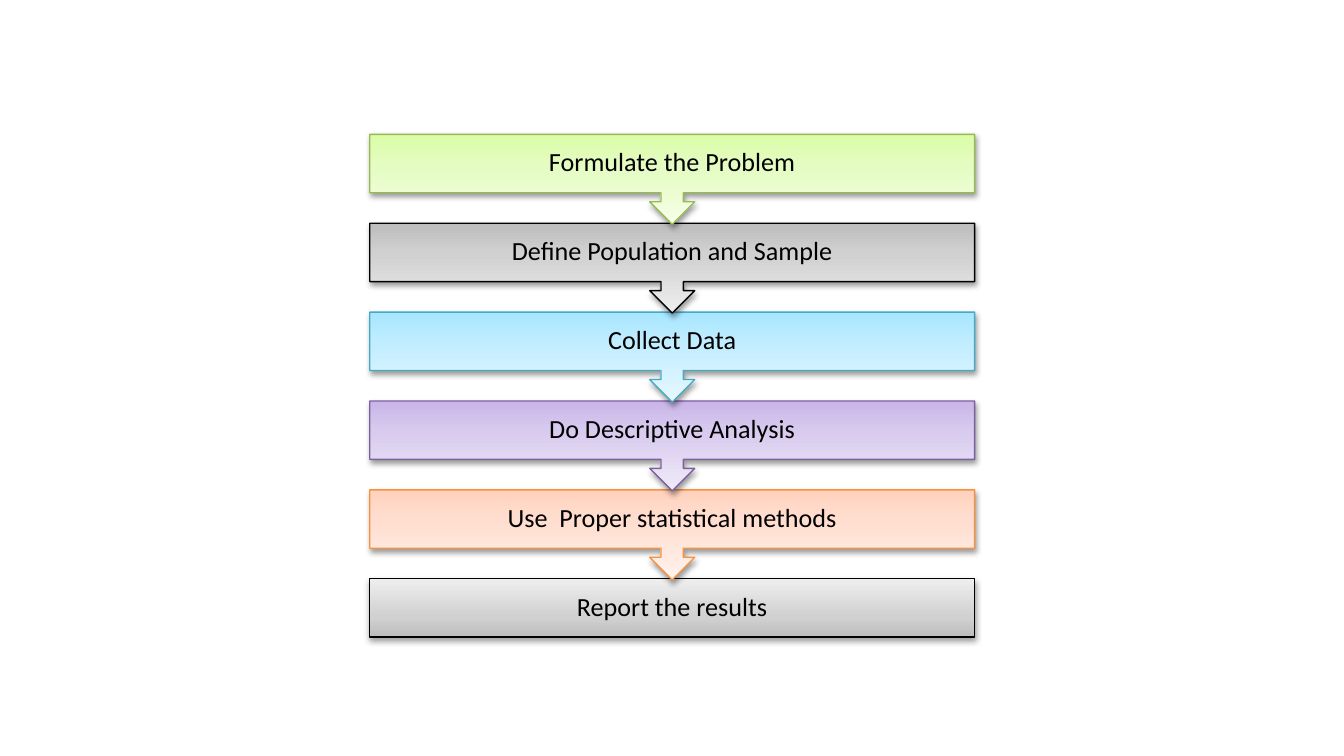
import copy
import pptx
import pptx.util
import pptx.oxml
import pptx.oxml.ns
from pptx.dml.color import RGBColor
from pptx.enum.shapes import MSO_SHAPE
from pptx.enum.text import MSO_ANCHOR, PP_ALIGN

Cm = pptx.util.Cm
Pt = pptx.util.Pt
qn = pptx.oxml.ns.qn

theme = {
    "font": "Calibri", "size": Pt(14), "text": "000000", "line": Pt(0.75),
    "stops": (0, 0.35, 1),
    # line colour, then the gradient from dark to light
    "green": ("98B955", "DAFDA7", "E4FCC2", "F5FFE7"),
    "grey": ("000000", "BDBDBD", "D1D1D1", "EEEEEE"),
    "blue": ("46AAC5", "A7E6FF", "C1EDFF", "E7F8FF"),
    "violet": ("7D60A0", "C9B5E8", "D8CBEE", "F0EAF9"),
    "orange": ("F69240", "FFD2BD", "FFDED0", "FFF2ED"),
}
steps = [
    ("Formulate the Problem", "green"),
    ("Define Population and Sample", "grey"),
    ("Collect Data", "blue"),
    ("Do Descriptive Analysis", "violet"),
    ("Use  Proper statistical methods", "orange"),
    ("Report the results", "grey"),
]
left, top, width, pitch = 6.99, 2.54, 11.43, 1.68
tall, low = 1.7, 1.1
inset = Cm(0.28)
frame = {
    "margin_left": inset, "margin_right": inset,
    "margin_top": inset, "margin_bottom": inset,
    "vertical_anchor": MSO_ANCHOR.MIDDLE, "word_wrap": True,
}
para = {"alignment": PP_ALIGN.CENTER, "line_spacing": 0.9}
font = {"name": theme["font"], "size": theme["size"]}
shade = (
    '<a:outerShdw xmlns:a="http://schemas.openxmlformats.org/drawingml/2006/main"'
    ' blurRad="40000" dist="20000" dir="5400000" rotWithShape="0">'
    '<a:srgbClr val="000000"><a:alpha val="38000"/></a:srgbClr></a:outerShdw>'
)


def put(item, values):
    """Set each named attribute of item."""
    for name, value in values.items():
        setattr(item, name, value)


deck = pptx.Presentation()
put(deck, {"slide_width": Cm(25.4), "slide_height": Cm(14.29)})
slide = deck.slides.add_slide(deck.slide_layouts[6])

# Bottom step first, so that each arrow tip lies over the step below it
for row, (words, tone) in reversed(list(enumerate(steps))):
    last = row == len(steps) - 1
    kind = MSO_SHAPE.RECTANGLE if last else MSO_SHAPE.DOWN_ARROW_CALLOUT
    step = slide.shapes.add_shape(
        kind, Cm(left), Cm(top + row * pitch), Cm(width), Cm(low if last else tall))
    edge, *shades = theme[tone]

    step.fill.gradient()
    step.fill.gradient_angle = 90 if last else 270
    props = step.element.spPr
    stops = props.find(".//" + qn("a:gsLst"))
    stops.append(copy.deepcopy(stops[0]))
    for stop, shade_rgb, place in zip(step.fill.gradient_stops, shades, theme["stops"]):
        stop.color.rgb = RGBColor.from_string(shade_rgb)
        stop.position = place

    step.line.width = theme["line"]
    step.line.color.rgb = RGBColor.from_string(edge)
    step.shadow.inherit = False
    props.find(qn("a:effectLst")).append(pptx.oxml.parse_xml(shade))

    put(step.text_frame, frame)
    line = step.text_frame.paragraphs[0]
    put(line, para)
    run = line.add_run()
    run.text = words
    put(run.font, font)
    run.font.color.rgb = RGBColor.from_string(theme["text"])

deck.save("out.pptx")
